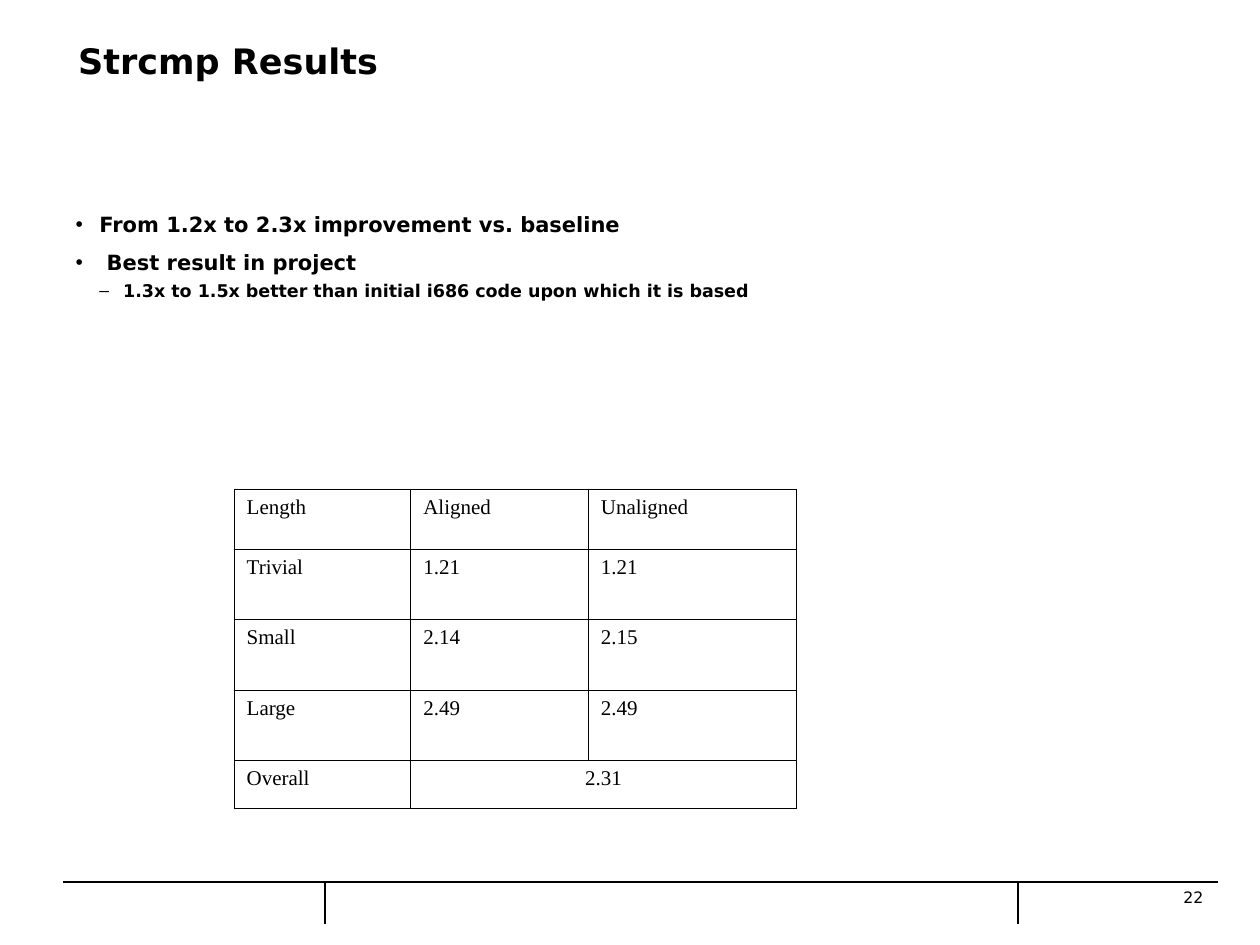
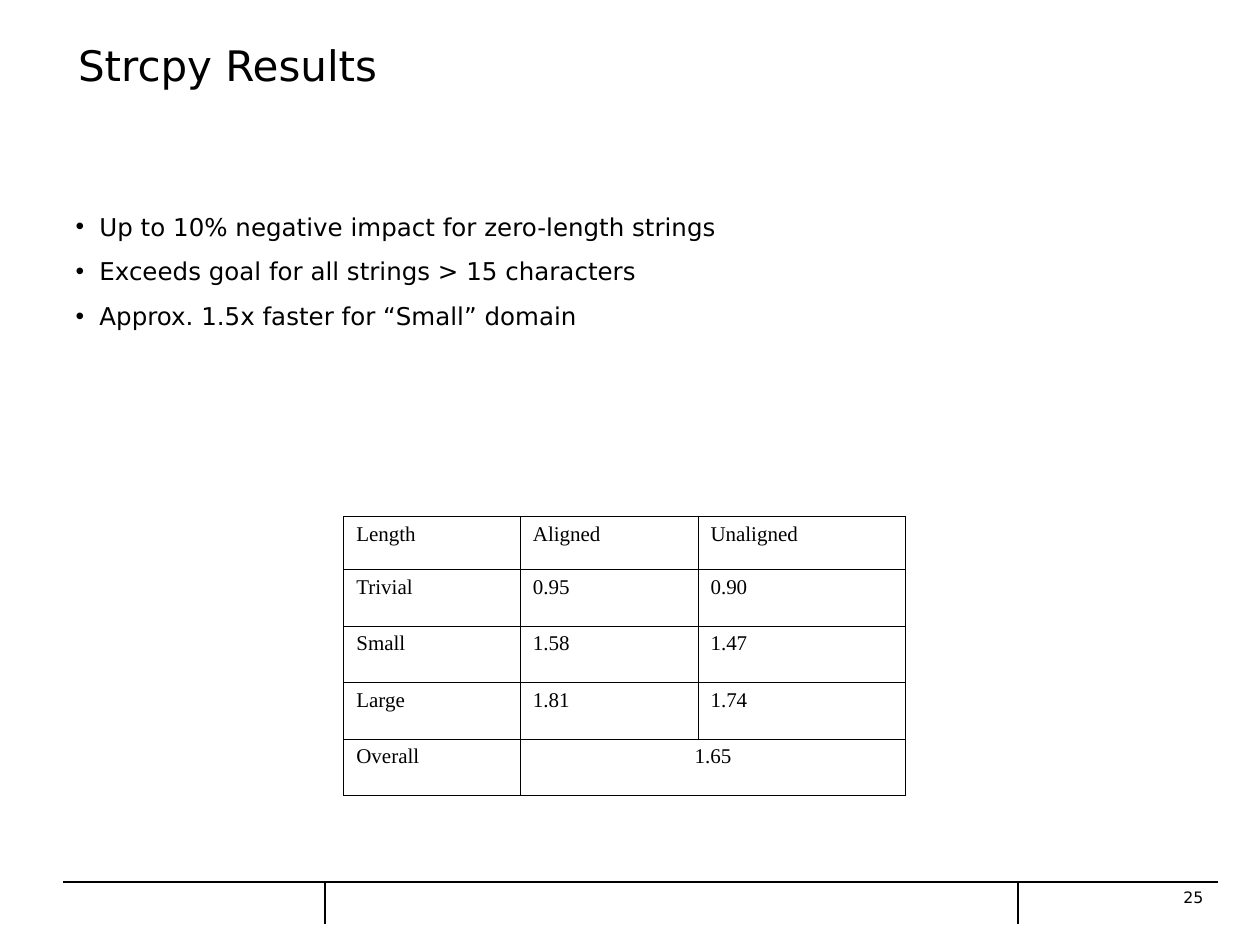
from dataclasses import dataclass

from lxml import etree
from pptx import Presentation
from pptx.dml.color import RGBColor
from pptx.enum.shapes import MSO_CONNECTOR
from pptx.enum.text import MSO_ANCHOR, MSO_AUTO_SIZE, PP_ALIGN
from pptx.oxml.ns import qn
from pptx.util import Cm, Pt

STRAIGHT = MSO_CONNECTOR.STRAIGHT
TOP = MSO_ANCHOR.TOP
FIXED = MSO_AUTO_SIZE.NONE
LEFT, CENTER, RIGHT = PP_ALIGN.LEFT, PP_ALIGN.CENTER, PP_ALIGN.RIGHT


@dataclass(frozen=True)
class Theme:
    ink: RGBColor = RGBColor(0, 0, 0)
    sans: str = "DejaVu Sans"
    serif: str = "Times New Roman"
    cell: float = 12
    number: float = 9
    rule: float = 0.75
    border: float = 0.45
    indent: float = 0.48


THEME = Theme()
MARKS = "•–"
HEADS = ("Length", "Aligned", "Unaligned")
WIDTHS = (3.56, 3.58, 4.19)
FOOT_TOP, FOOT_END = 17.78, 18.62
RULES = (
    (1.27, FOOT_TOP, 24.56, FOOT_TOP),
    (6.55, FOOT_END, 6.55, FOOT_TOP),
    (20.52, FOOT_END, 20.52, FOOT_TOP),
)


def style(para, size, face=THEME.sans, bold=False, align=LEFT):
    para.alignment = align
    font = para.font
    font.name, font.size, font.bold = face, Pt(size), bold
    font.color.rgb = THEME.ink


def place(shape, box):
    shape.left, shape.top, shape.width, shape.height = map(Cm, box)
    frame = shape.text_frame
    frame.word_wrap = True
    frame.auto_size = FIXED
    frame.vertical_anchor = TOP
    return frame


def add_title(slide, text, size, bold):
    frame = place(slide.shapes.title, (1.32, 0.66, 16.54, 2.03))
    frame.text = text
    style(frame.paragraphs[0], size, bold=bold)


def add_list(slide, items, box, bold):
    frame = place(slide.placeholders[1], box)
    frame.text = "\n".join(text for text, *_ in items)
    for para, (_, level, size, gap) in zip(frame.paragraphs, items):
        para.level = level
        para.space_before = Pt(gap)
        props = para._p.get_or_add_pPr()
        props.set("marL", str(Cm(THEME.indent * (level + 1))))
        props.set("indent", str(-Cm(THEME.indent)))
        etree.SubElement(props, qn("a:buChar"), char=MARKS[level])
        style(para, size, bold=bold)


def add_border(cell):
    props = cell._tc.get_or_add_tcPr()
    for side in ("lnL", "lnR", "lnT", "lnB"):
        line = etree.SubElement(props, qn(f"a:{side}"), w=str(Pt(THEME.border)))
        fill = etree.SubElement(line, qn("a:solidFill"))
        etree.SubElement(fill, qn("a:srgbClr"), val=str(THEME.ink))


def add_table(slide, rows, total, left, top, heights):
    data = (HEADS, *rows, ("Overall", total, ""))
    table = slide.shapes.add_table(
        len(data), len(HEADS), Cm(left), Cm(top),
        Cm(sum(WIDTHS)), Cm(sum(heights)),
    ).table
    table.first_row = table.horz_banding = False
    for column, width in zip(table.columns, WIDTHS):
        column.width = Cm(width)
    for row, height, texts in zip(table.rows, heights, data):
        row.height = Cm(height)
        for cell, text in zip(row.cells, texts):
            cell.text = text
            add_border(cell)
            cell.fill.background()
            style(cell.text_frame.paragraphs[0], THEME.cell, THEME.serif)
    last = len(data) - 1
    score = table.cell(last, 1)
    score.merge(table.cell(last, 2))
    score.text_frame.paragraphs[0].alignment = CENTER


def add_rule(slide, ends):
    rule = slide.shapes.add_connector(STRAIGHT, *map(Cm, ends))
    rule.line.color.rgb = THEME.ink
    rule.line.width = Pt(THEME.rule)
    etree.SubElement(rule._element.spPr, qn("a:effectLst"))


def add_footer(slide, number):
    for ends in RULES:
        add_rule(slide, ends)
    box = (21.77, FOOT_TOP, 2.74, FOOT_END - FOOT_TOP)
    frame = place(slide.shapes.add_textbox(*map(Cm, box)), box)
    frame.text = number
    style(frame.paragraphs[0], THEME.number, align=RIGHT)


def add_slide(deck, title, size, number, items, box, bold=False):
    slide = deck.slides.add_slide(deck.slide_layouts[1])
    add_title(slide, title, size, bold)
    add_list(slide, items, box, bold)
    add_footer(slide, number)
    return slide


def main():
    deck = Presentation()
    deck.slide_width, deck.slide_height = Cm(25.4), Cm(19.05)

    compare = add_slide(
        deck, "Strcmp Results", 20, "22",
        (
            ("From 1.2x to 2.3x improvement vs. baseline", 0, 12, 7.5),
            (" Best result in project", 0, 12, 7.5),
            ("1.3x to 1.5x better than initial i686 code upon which it is based",
             1, 10, 2.5),
        ),
        (1.27, 4.14, 22.56, 2.18), bold=True,
    )
    add_table(
        compare,
        (
            ("Trivial", "1.21", "1.21"),
            ("Small", "2.14", "2.15"),
            ("Large", "2.49", "2.49"),
        ),
        "2.31", 4.72, 9.86, (1.21, *[1.42] * 3, 0.96),
    )

    duplicate = add_slide(
        deck, "Strcpy Results", 24, "25",
        [(text, 0, 14, 8.8) for text in (
            "Up to 10% negative impact for zero-length strings",
            "Exceeds goal for all strings > 15 characters",
            "Approx. 1.5x faster for “Small” domain",
        )],
        (1.27, 4.14, 18.39, 4.75),
    )
    add_table(
        duplicate,
        (
            ("Trivial", "0.95", "0.90"),
            ("Small", "1.58", "1.47"),
            ("Large", "1.81", "1.74"),
        ),
        "1.65", 6.93, 10.41, (1.07, *[1.14] * 4),
    )
    deck.save("out.pptx")


if __name__ == "__main__":
    main()
